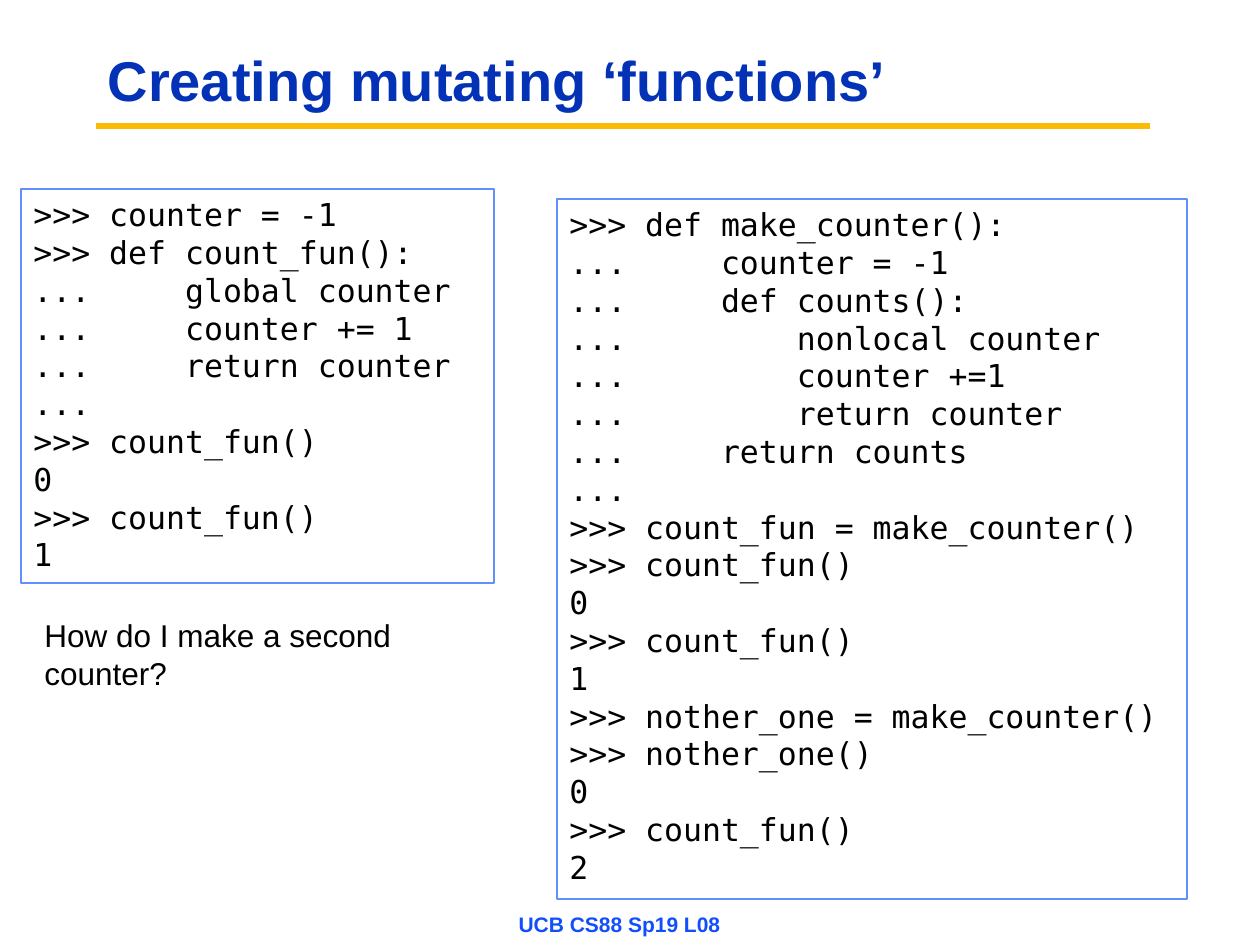
import pptx
import pptx.util
import pptx.dml.color
import pptx.enum.shapes
import pptx.enum.text
import lxml.etree

PX = 914400 // 126
NAVY = pptx.dml.color.RGBColor(0x03, 0x32, 0xB7)
GOLD = pptx.dml.color.RGBColor(0xFB, 0xBA, 0x03)
BORDER = pptx.dml.color.RGBColor(0x61, 0x8F, 0xFD)
BLUE = pptx.dml.color.RGBColor(0x11, 0x4F, 0xFB)
BLACK = pptx.dml.color.RGBColor(0, 0, 0)
TOP = pptx.enum.text.MSO_ANCHOR.TOP
MIDDLE = pptx.enum.text.MSO_ANCHOR.MIDDLE
LEFT = pptx.enum.text.PP_ALIGN.LEFT
CENTER = pptx.enum.text.PP_ALIGN.CENTER


def px(*lengths):
    return [pptx.util.Emu(length * PX) for length in lengths]


def write(frame, lines, font, size, color, bold=False, anchor=TOP, align=LEFT):
    frame.word_wrap = True
    frame.auto_size = pptx.enum.text.MSO_AUTO_SIZE.NONE
    frame.vertical_anchor = anchor
    for index, line in enumerate(lines):
        paragraph = frame.add_paragraph() if index else frame.paragraphs[0]
        paragraph.alignment = align
        run = paragraph.add_run()
        run.text = line
        run.font.name = font
        run.font.size = pptx.util.Pt(size)
        run.font.bold = bold
        run.font.color.rgb = color


deck = pptx.Presentation()
deck.slide_width, deck.slide_height = px(1260, 945)
slide = deck.slides.add_slide(deck.slide_layouts[5])

rule = slide.shapes.add_connector(
    pptx.enum.shapes.MSO_CONNECTOR.STRAIGHT, *px(96, 126, 1150, 126))
rule.line.color.rgb = GOLD
rule.line.width = pptx.util.Pt(3.75)
lxml.etree.SubElement(rule._element.spPr, pptx.oxml.ns.qn("a:effectLst"))

title = slide.shapes.title
title.left, title.top, title.width, title.height = px(95, 32, 1061, 102)
write(title.text_frame, ["Creating mutating ‘functions’"], "Arial", 32, NAVY,
      bold=True, anchor=MIDDLE)
title.text_frame.paragraphs[0].line_spacing = 0.9

global_counter = """>>> counter = -1
>>> def count_fun():
...     global counter
...     counter += 1
...     return counter
...
>>> count_fun()
0
>>> count_fun()
1"""

nonlocal_counter = """>>> def make_counter():
...     counter = -1
...     def counts():
...         nonlocal counter
...         counter +=1
...         return counter
...     return counts
...
>>> count_fun = make_counter()
>>> count_fun()
0
>>> count_fun()
1
>>> nother_one = make_counter()
>>> nother_one()
0
>>> count_fun()
2"""

for session, place in [(global_counter, (21, 189, 473, 394)),
                       (nonlocal_counter, (557, 199, 630, 700))]:
    listing = slide.shapes.add_shape(
        pptx.enum.shapes.MSO_SHAPE.RECTANGLE, *px(*place))
    listing.shadow.inherit = False
    listing.fill.background()
    listing.line.color.rgb = BORDER
    listing.line.width = pptx.util.Pt(0.75)
    write(listing.text_frame, session.split("\n"), "DejaVu Sans Mono", 18, BLACK)

question = slide.shapes.add_textbox(*px(32, 610, 388, 89))
write(question.text_frame, ["How do I make a second counter?"], "Arial", 18, BLACK)

footer = slide.shapes.add_textbox(*px(420, 903, 399, 42))
write(footer.text_frame, ["UCB CS88 Sp19 L08"], "Arial", 12, BLUE,
      bold=True, anchor=MIDDLE, align=CENTER)

deck.save("out.pptx")
